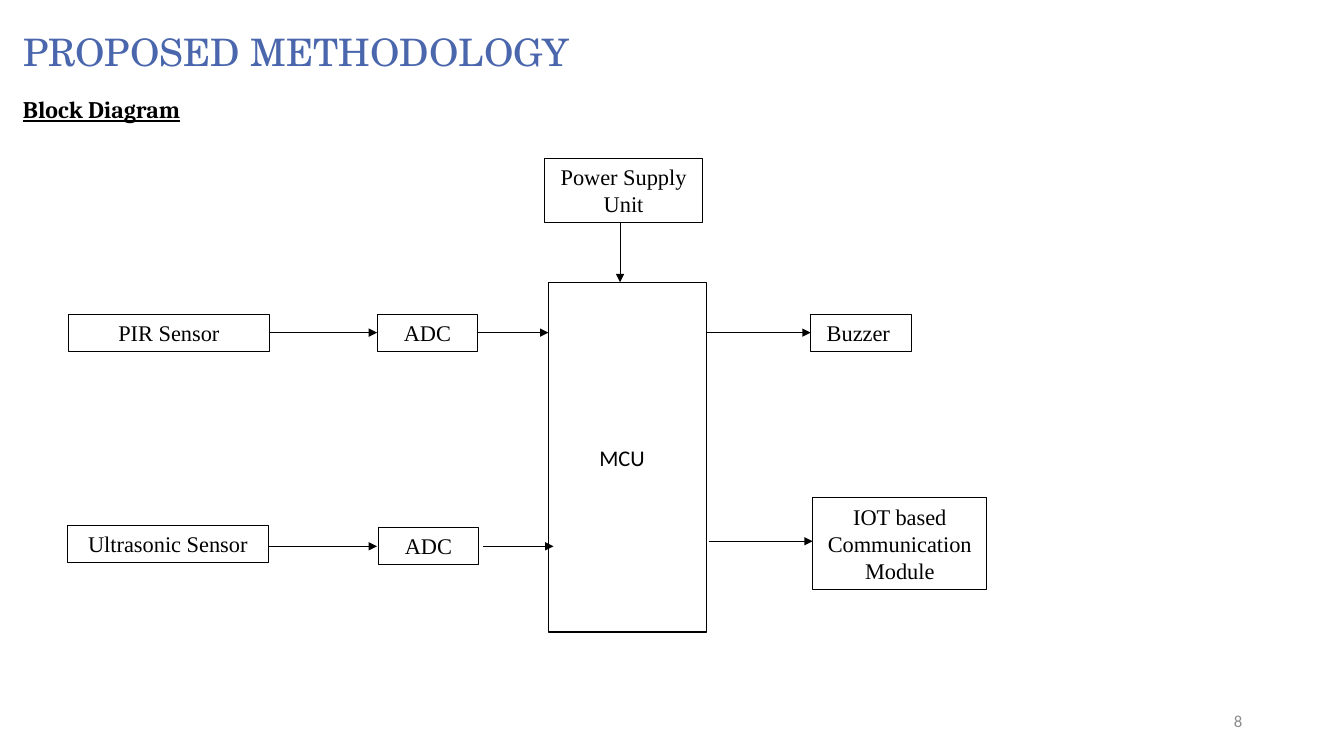
from collections import namedtuple
from dataclasses import dataclass

from lxml.etree import SubElement
from pptx import Presentation
from pptx.dml.color import RGBColor
from pptx.enum.shapes import MSO_CONNECTOR as Connector, MSO_SHAPE as Shape
from pptx.enum.text import MSO_ANCHOR as Anchor, MSO_AUTO_SIZE as AutoSize, PP_ALIGN as Align
from pptx.oxml.ns import qn
from pptx.util import Emu, Pt

Box = namedtuple("Box", "left top width height")
TITLE_ONLY = 5


def px(length):
    return Emu(length * 9144)


@dataclass(frozen=True)
class Theme:
    ink: RGBColor = RGBColor(0, 0, 0)
    paper: RGBColor = RGBColor(255, 255, 255)
    accent: RGBColor = RGBColor(0x4A, 0x66, 0xAC)
    muted: RGBColor = RGBColor(0x8C, 0x8C, 0x8C)
    title_size: Pt = Pt(27)
    heading_size: Pt = Pt(17)
    block_size: Pt = Pt(16)
    number_size: Pt = Pt(12)
    title_font: str = "TeX Gyre Schola"
    heading_font: str = "Cambria"
    block_font: str = "Times New Roman"
    plain_font: str = "Calibri"
    block_line: Pt = Pt(0.75)
    chip_line: Pt = Pt(1)
    arrow_line: Pt = Pt(0.5)


THEME = Theme()


def assign(target, values):
    for name, value in values.items():
        setattr(target, name, value)


def place(shape, box):
    assign(shape, {name: px(value) for name, value in box._asdict().items()})


def inside(box, left, top, width, height):
    return Box(box.left + left, box.top + top, width, height)


def write(shape, text, font, color, frame=None, para=None):
    settings = {"word_wrap": True, "auto_size": AutoSize.NONE, "vertical_anchor": Anchor.TOP}
    assign(shape.text_frame, settings | (frame or {}))
    first = shape.text_frame.paragraphs[0]
    assign(first, {"alignment": Align.LEFT} | (para or {}))
    span = first.add_run()
    span.text = text
    assign(span.font, font)
    span.font.color.rgb = color


def add_title(slide, box):
    title = slide.shapes.title
    place(title, box)
    write(title, "PROPOSED METHODOLOGY",
          {"name": THEME.title_font, "size": THEME.title_size}, THEME.accent,
          {"vertical_anchor": Anchor.BOTTOM}, {"line_spacing": 0.8})


def add_heading(slide, box):
    heading = slide.shapes.add_textbox(*map(px, box))
    write(heading, "Block Diagram",
          {"name": THEME.heading_font, "size": THEME.heading_size, "bold": True, "underline": True},
          THEME.ink, {"auto_size": AutoSize.SHAPE_TO_FIT_TEXT})


def add_page_number(slide, box):
    number = slide.shapes.add_textbox(*map(px, box))
    write(number, "8", {"name": THEME.plain_font, "size": THEME.number_size}, THEME.muted,
          {"vertical_anchor": Anchor.MIDDLE}, {"alignment": Align.RIGHT})


def add_rectangle(slide, box, line_width):
    block = slide.shapes.add_shape(Shape.RECTANGLE, *map(px, box))
    block.shadow.inherit = False
    block.fill.background()
    block.line.color.rgb = THEME.ink
    block.line.width = line_width
    return block


def add_block(slide, box, text, frame=None, align=Align.CENTER):
    block = add_rectangle(slide, box, THEME.block_line)
    write(block, text, {"name": THEME.block_font, "size": THEME.block_size}, THEME.ink,
          {"auto_size": AutoSize.SHAPE_TO_FIT_TEXT} | (frame or {}), {"alignment": align})


def add_controller(slide, box):
    chip = add_rectangle(slide, box, THEME.chip_line)
    chip.fill.solid()
    chip.fill.fore_color.rgb = THEME.paper
    write(chip, "MCU", {"name": THEME.plain_font, "size": THEME.block_size}, THEME.ink,
          {"vertical_anchor": Anchor.MIDDLE, "margin_right": px(21)}, {"alignment": Align.CENTER})


def add_arrow(slide, box, start, end):
    points = [px(edge + offset) for point in (start, end)
              for edge, offset in zip((box.left, box.top), point)]
    arrow = slide.shapes.add_connector(Connector.STRAIGHT, *points)
    arrow.line.color.rgb = THEME.ink
    arrow.line.width = THEME.arrow_line
    SubElement(arrow.line._get_or_add_ln(), qn("a:tailEnd"), type="triangle")
    SubElement(arrow._element.spPr, qn("a:effectLst"))


def add_block_diagram(slide, box):
    blocks = [
        ("Power Supply Unit", 473, 0, 157, 64),
        ("PIR Sensor", 1, 155, 199, 37),
        ("ADC", 307, 155, 100, 37),
        ("Ultrasonic Sensor", 0, 364, 199, 37),
        ("ADC", 308, 366, 100, 37),
        ("IOT based Communication Module", 739, 337, 173, 91),
    ]
    for text, *area in blocks:
        add_block(slide, inside(box, *area), text)
    add_block(slide, inside(box, 737, 155, 100, 37), "Buzzer",
              {"margin_left": px(16)}, Align.LEFT)
    add_controller(slide, inside(box, 477, 123, 157, 347))

    add_arrow(slide, box, (548, 64), (548, 123))
    flows = {
        173: [(200, 307), (406, 477), (634, 737)],
        385: [(200, 307), (412, 482)],
        380: [(636, 739)],
    }
    for level, spans in flows.items():
        for start, end in spans:
            add_arrow(slide, box, (start, level), (end, level))


def build_methodology(deck, page):
    slide = deck.slides.add_slide(deck.slide_layouts[TITLE_ONLY])
    add_title(slide, inside(page, 13, 27, 713, 51))
    add_page_number(slide, inside(page, 942, 695, 300, 40))
    add_heading(slide, inside(page, 13, 89, 667, 39))
    add_block_diagram(slide, inside(page, 67, 157, 912, 470))


def main():
    page = Box(0, 0, 1333, 750)
    deck = Presentation()
    assign(deck, {"slide_width": px(page.width), "slide_height": px(page.height)})
    build_methodology(deck, page)
    deck.save("out.pptx")


if __name__ == "__main__":
    main()
